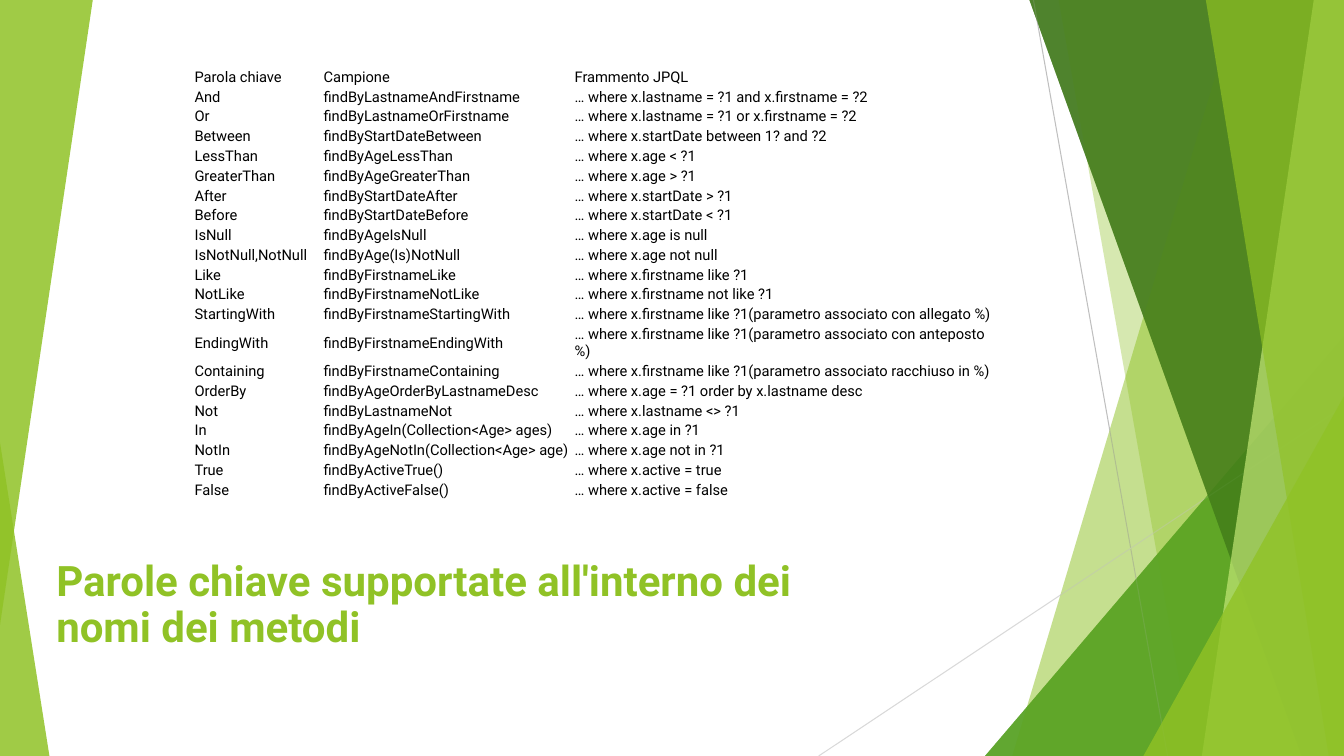
from dataclasses import dataclass

from lxml.etree import SubElement
from pptx import Presentation
from pptx.dml.color import RGBColor
from pptx.enum.shapes import MSO_CONNECTOR, MSO_SHAPE
from pptx.enum.text import MSO_ANCHOR
from pptx.oxml.ns import qn
from pptx.util import Inches, Pt


@dataclass(frozen=True)
class Theme:
    font: str = "Roboto"
    title_size: float = 30
    table_size: float = 10.5
    line_width: float = 0.75
    border_width: float = 0.5
    lime: str = "90C226"
    green: str = "54A021"
    forest: str = "3F7819"
    pale: str = "C0E474"
    black: str = "000000"
    white: str = "FFFFFF"
    gray: str = "BFBFBF"
    light_gray: str = "D9D9D9"


THEME = Theme()
WIDTH, HEIGHT = 13.33, 7.5

# Facets in drawing order: bands give top and bottom x of the slanted left edge,
# triangles give left and top of a shape that ends in the lower right corner.
FACETS = [
    ("band", 12.28, 10.04, THEME.lime, 30),
    ("band", 10.5, 11.83, THEME.lime, 20),
    ("triangle", 9.77, 3.33, THEME.green, 72),
    ("band", 10.21, 12.91, THEME.forest, 70),
    ("band", 13.03, 11.92, THEME.pale, 70),
    ("band", 11.96, 13.18, THEME.lime, 65),
    ("triangle", 11.34, 3.93, THEME.lime, 80),
]

TITLE = "Parole chiave supportate all'interno dei nomi dei metodi"
COLUMN_WIDTHS = [1.28, 2.49, 4.26]
KEYWORDS = [
    ("Parola chiave", "Campione", "Frammento JPQL"),
    ("And", "findByLastnameAndFirstname", "… where x.lastname = ?1 and x.firstname = ?2"),
    ("Or", "findByLastnameOrFirstname", "… where x.lastname = ?1 or x.firstname = ?2"),
    ("Between", "findByStartDateBetween", "… where x.startDate between 1? and ?2"),
    ("LessThan", "findByAgeLessThan", "… where x.age < ?1"),
    ("GreaterThan", "findByAgeGreaterThan", "… where x.age > ?1"),
    ("After", "findByStartDateAfter", "… where x.startDate > ?1"),
    ("Before", "findByStartDateBefore", "… where x.startDate < ?1"),
    ("IsNull", "findByAgeIsNull", "… where x.age is null"),
    ("IsNotNull,NotNull", "findByAge(Is)NotNull", "… where x.age not null"),
    ("Like", "findByFirstnameLike", "… where x.firstname like ?1"),
    ("NotLike", "findByFirstnameNotLike", "… where x.firstname not like ?1"),
    ("StartingWith", "findByFirstnameStartingWith",
     "… where x.firstname like ?1(parametro associato con allegato %)"),
    ("EndingWith", "findByFirstnameEndingWith",
     "… where x.firstname like ?1(parametro associato con anteposto %)"),
    ("Containing", "findByFirstnameContaining",
     "… where x.firstname like ?1(parametro associato racchiuso in %)"),
    ("OrderBy", "findByAgeOrderByLastnameDesc", "… where x.age = ?1 order by x.lastname desc"),
    ("Not", "findByLastnameNot", "… where x.lastname <> ?1"),
    ("In", "findByAgeIn(Collection<Age> ages)", "… where x.age in ?1"),
    ("NotIn", "findByAgeNotIn(Collection<Age> age)", "… where x.age not in ?1"),
    ("True", "findByActiveTrue()", "… where x.active = true"),
    ("False", "findByActiveFalse()", "… where x.active = false"),
]


def paint(shape, color, opacity):
    shape.shadow.inherit = False
    shape.fill.solid()
    shape.fill.fore_color.rgb = RGBColor.from_string(color)
    color_element = shape.fill._xPr.find(qn("a:solidFill"))[0]
    SubElement(color_element, qn("a:alpha"), val=str(opacity * 1000))
    shape.line.fill.background()


def add_band(slide, top_x, bottom_x, color, opacity):
    corners = [(WIDTH, 0), (WIDTH, HEIGHT), (bottom_x, HEIGHT)]
    builder = slide.shapes.build_freeform(Inches(top_x), 0, scale=1.0)
    builder.add_line_segments([(Inches(x), Inches(y)) for x, y in corners], close=True)
    paint(builder.convert_to_shape(), color, opacity)


def add_triangle(slide, box, apex, color, opacity, rotation=0):
    lengths = [Inches(length) for length in box]
    shape = slide.shapes.add_shape(MSO_SHAPE.ISOSCELES_TRIANGLE, *lengths)
    shape.adjustments[0] = apex
    shape.rotation = rotation
    paint(shape, color, opacity)


def add_facets(slide):
    for kind, first, second, color, opacity in FACETS:
        if kind == "band":
            add_band(slide, first, second, color, opacity)
        else:
            box = (first, second, WIDTH - first, HEIGHT - second)
            add_triangle(slide, box, 1, color, opacity)


def add_line(slide, start, end, color):
    points = [Inches(value) for value in (*start, *end)]
    line = slide.shapes.add_connector(MSO_CONNECTOR.STRAIGHT, *points)
    line.line.color.rgb = RGBColor.from_string(color)
    line.line.width = Pt(THEME.line_width)
    SubElement(line._element.spPr, qn("a:effectLst"))


def format_text(paragraph, size, color, bold=False):
    for run in paragraph.runs:
        run.font.name = THEME.font
        run.font.size = Pt(size)
        run.font.bold = bold
        run.font.color.rgb = RGBColor.from_string(color)


def add_title(slide):
    box = slide.shapes.add_textbox(Inches(0.46), Inches(5.84), Inches(8.39), Inches(1.19))
    text_frame = box.text_frame
    text_frame.word_wrap = True
    text_frame.vertical_anchor = MSO_ANCHOR.BOTTOM
    text_frame.margin_bottom = Inches(0.57)
    text_frame.text = TITLE
    paragraph = text_frame.paragraphs[0]
    paragraph.line_spacing = 0.9
    format_text(paragraph, THEME.title_size, THEME.lime, bold=True)


def format_cell(cell, text):
    cell.text_frame.text = text
    cell.vertical_anchor = MSO_ANCHOR.MIDDLE
    cell.margin_left = cell.margin_right = Inches(0.03)
    cell.margin_top = cell.margin_bottom = Inches(0.01)
    format_text(cell.text_frame.paragraphs[0], THEME.table_size, THEME.black)
    properties = cell._tc.get_or_add_tcPr()
    for side in ("lnL", "lnR", "lnT", "lnB"):
        border = SubElement(properties, qn(f"a:{side}"), w=str(Pt(THEME.border_width)))
        SubElement(SubElement(border, qn("a:solidFill")), qn("a:srgbClr"), val=THEME.white)
    cell.fill.background()


def add_keyword_table(slide):
    frame = slide.shapes.add_table(
        len(KEYWORDS), len(COLUMN_WIDTHS),
        Inches(1.9), Inches(0.67), Inches(sum(COLUMN_WIDTHS)), Inches(4.12))
    table = frame.table
    table.first_row = table.horz_banding = False
    for column, width in zip(table.columns, COLUMN_WIDTHS):
        column.width = Inches(width)
    for row, texts in zip(table.rows, KEYWORDS):
        for cell, text in zip(row.cells, texts):
            format_cell(cell, text)


def main():
    presentation = Presentation()
    presentation.slide_width = Inches(WIDTH)
    presentation.slide_height = Inches(HEIGHT)
    slide = presentation.slides.add_slide(presentation.slide_layouts[6])

    # Back layer of facets
    add_facets(slide)
    add_triangle(slide, (0, 4.39, 0.49, 3.11), 0, THEME.lime, 85)

    # Thin lines and front layer of facets
    add_line(slide, (10.25, 0), (11.58, HEIGHT), THEME.gray)
    add_line(slide, (WIDTH, 4.03), (8.12, HEIGHT), THEME.light_gray)
    add_facets(slide)
    add_triangle(slide, (0, 0, 0.92, 6.2), 1, THEME.lime, 85, rotation=180)

    # Content
    add_title(slide)
    add_keyword_table(slide)

    presentation.save("out.pptx")


if __name__ == "__main__":
    main()
